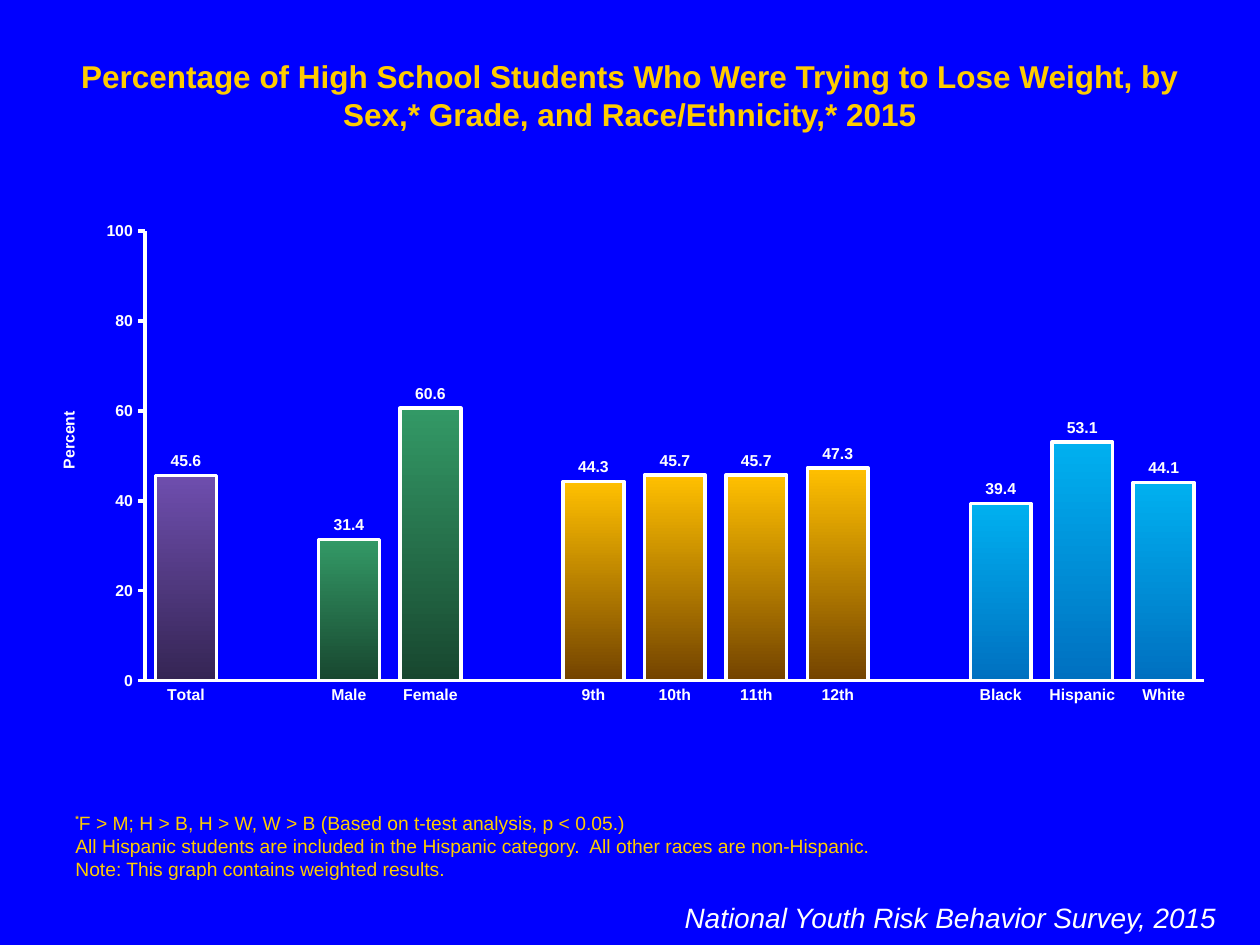
from lxml import etree
from pptx import Presentation
from pptx.chart.data import CategoryChartData
from pptx.dml.color import RGBColor
from pptx.enum.chart import XL_CHART_TYPE, XL_LABEL_POSITION, XL_TICK_MARK
from pptx.enum.text import MSO_ANCHOR, MSO_AUTO_SIZE, PP_ALIGN
from pptx.oxml import parse_xml
from pptx.oxml.ns import nsdecls, qn
from pptx.util import Inches, Pt

COLUMN = XL_CHART_TYPE.COLUMN_CLUSTERED
OUTSIDE_END = XL_LABEL_POSITION.OUTSIDE_END
TICK_NONE, TICK_OUT = XL_TICK_MARK.NONE, XL_TICK_MARK.OUTSIDE
TOP, BOTTOM = MSO_ANCHOR.TOP, MSO_ANCHOR.BOTTOM
CENTER, LEFT, RIGHT = PP_ALIGN.CENTER, PP_ALIGN.LEFT, PP_ALIGN.RIGHT

BLUE = RGBColor(0x00, 0x00, 0xFF)
GOLD = RGBColor(0xFF, 0xCC, 0x00)
WHITE = RGBColor(0xFF, 0xFF, 0xFF)
PURPLE = (RGBColor(0x6E, 0x4E, 0xAE), RGBColor(0x35, 0x25, 0x54))
GREEN = (RGBColor(0x33, 0x99, 0x66), RGBColor(0x18, 0x47, 0x2F))
AMBER = (RGBColor(0xFF, 0xC0, 0x00), RGBColor(0x73, 0x43, 0x00))
SKY = (RGBColor(0x00, 0xB0, 0xF0), RGBColor(0x00, 0x70, 0xC0))

GROUPS = [
    (PURPLE, [("Total", 45.6)]),
    (GREEN, [("Male", 31.4), ("Female", 60.6)]),
    (AMBER, [("9th", 44.3), ("10th", 45.7), ("11th", 45.7), ("12th", 47.3)]),
    (SKY, [("Black", 39.4), ("Hispanic", 53.1), ("White", 44.1)]),
]
FOOTNOTES = [
    "F > M; H > B, H > W, W > B (Based on t-test analysis, p < 0.05.)",
    "All Hispanic students are included in the Hispanic category.  All other races are non-Hispanic.",
    "Note: This graph contains weighted results.",
]


def set_font(font, size, color, bold=False, italic=False):
    values = {"name": "Arial", "size": Pt(size), "bold": bold, "italic": italic}
    for key, value in values.items():
        setattr(font, key, value)
    font.color.rgb = color


def set_layout(parent, index, **fractions):
    layout = parse_xml(f"<c:layout {nsdecls('c')}><c:manualLayout/></c:layout>")
    for tag, value in fractions.items():
        etree.SubElement(layout[0], qn(f"c:{tag}")).set("val", str(value))
    for old in parent.findall(qn("c:layout")):
        parent.remove(old)
    parent.insert(index, layout)


prs = Presentation()
prs.slide_width, prs.slide_height = Inches(10), Inches(7.5)
slide = prs.slides.add_slide(prs.slide_layouts[5])
slide.background.fill.solid()
slide.background.fill.fore_color.rgb = BLUE

title = slide.shapes.title
title.left, title.top = Inches(0.5), Inches(0.4)
title.width, title.height = Inches(9), Inches(0.68)
title.text = "Percentage of High School Students Who Were Trying to Lose Weight, by Sex,* Grade, and Race/Ethnicity,* 2015"
title.text_frame.auto_size = MSO_AUTO_SIZE.NONE
title.text_frame.vertical_anchor = TOP
heading = title.text_frame.paragraphs[0]
heading.alignment = CENTER
set_font(heading.runs[0].font, 18, GOLD, bold=True)

data = CategoryChartData(number_format="General")
values, bar_colors = [], []
for colors, bars in GROUPS:
    if values:
        data.add_category("")
        values.append(None)
        bar_colors.append(None)
    for label, percent in bars:
        data.add_category(label)
        values.append(percent)
        bar_colors.append(colors)
data.add_series("Series 1", values)

chart = slide.shapes.add_chart(
    COLUMN, Inches(0.25), Inches(1.69), Inches(9.5), Inches(3.98), data
).chart
chart.has_legend = False
chart.has_title = False
set_font(chart.font, 18, WHITE)
set_layout(chart.plots[0]._element.getparent(), 0, layoutTarget="inner",
           xMode="edge", yMode="edge", x=0.095, y=0.036, w=0.885, h=0.897)

percent_axis = chart.value_axis
scale = {"minimum_scale": 0, "maximum_scale": 100, "major_unit": 20}
for key, value in scale.items():
    setattr(percent_axis, key, value)
for axis, tick in ((chart.category_axis, TICK_NONE), (percent_axis, TICK_OUT)):
    axis.has_major_gridlines = False
    axis.major_tick_mark = tick
    axis.minor_tick_mark = TICK_NONE
    axis.format.line.color.rgb = WHITE
    axis.format.line.width = Pt(2)
    set_font(axis.tick_labels.font, 9, WHITE, bold=True)

axis_title = percent_axis.axis_title
axis_title.text_frame.text = "Percent"
set_font(axis_title.text_frame.paragraphs[0].runs[0].font, 9, WHITE, bold=True)
set_layout(axis_title._element, 1, xMode="edge", yMode="edge", x=0.02, y=0.39)

plot = chart.plots[0]
plot.vary_by_categories = False
plot.gap_width, plot.overlap = 34, 100
plot.has_data_labels = True
labels = plot.data_labels
labels.show_value = True
labels.number_format, labels.number_format_is_linked = "#,##0.0", False
labels.position = OUTSIDE_END
set_font(labels.font, 9, WHITE, bold=True)

for index, colors in enumerate(bar_colors):
    if colors:
        bar = plot.series[0].points[index].format
        bar.fill.gradient()
        bar.fill.gradient_angle = 270
        for stop, color in zip(bar.fill.gradient_stops, colors):
            stop.color.rgb = color
        bar.line.color.rgb = WHITE
        bar.line.width = Pt(2)

notes = slide.shapes.add_textbox(Inches(0.5), Inches(6.39), Inches(9), Inches(0.65)).text_frame
notes.word_wrap = True
notes.vertical_anchor = BOTTOM
for index, line in enumerate(FOOTNOTES):
    paragraph = notes.add_paragraph() if index else notes.paragraphs[0]
    paragraph.alignment = LEFT
    if index == 0:
        asterisk = paragraph.add_run()
        asterisk.text = "*"
        set_font(asterisk.font, 9, GOLD, bold=True)
        asterisk.font._element.set("baseline", "50000")
    run = paragraph.add_run()
    run.text = line
    set_font(run.font, 11, GOLD)

survey = slide.shapes.add_textbox(Inches(4.25), Inches(7.1), Inches(5.5), Inches(0.37)).text_frame
survey.word_wrap = True
survey.text = "National Youth Risk Behavior Survey, 2015"
survey.paragraphs[0].alignment = RIGHT
set_font(survey.paragraphs[0].runs[0].font, 16, WHITE, italic=True)

prs.save("out.pptx")
